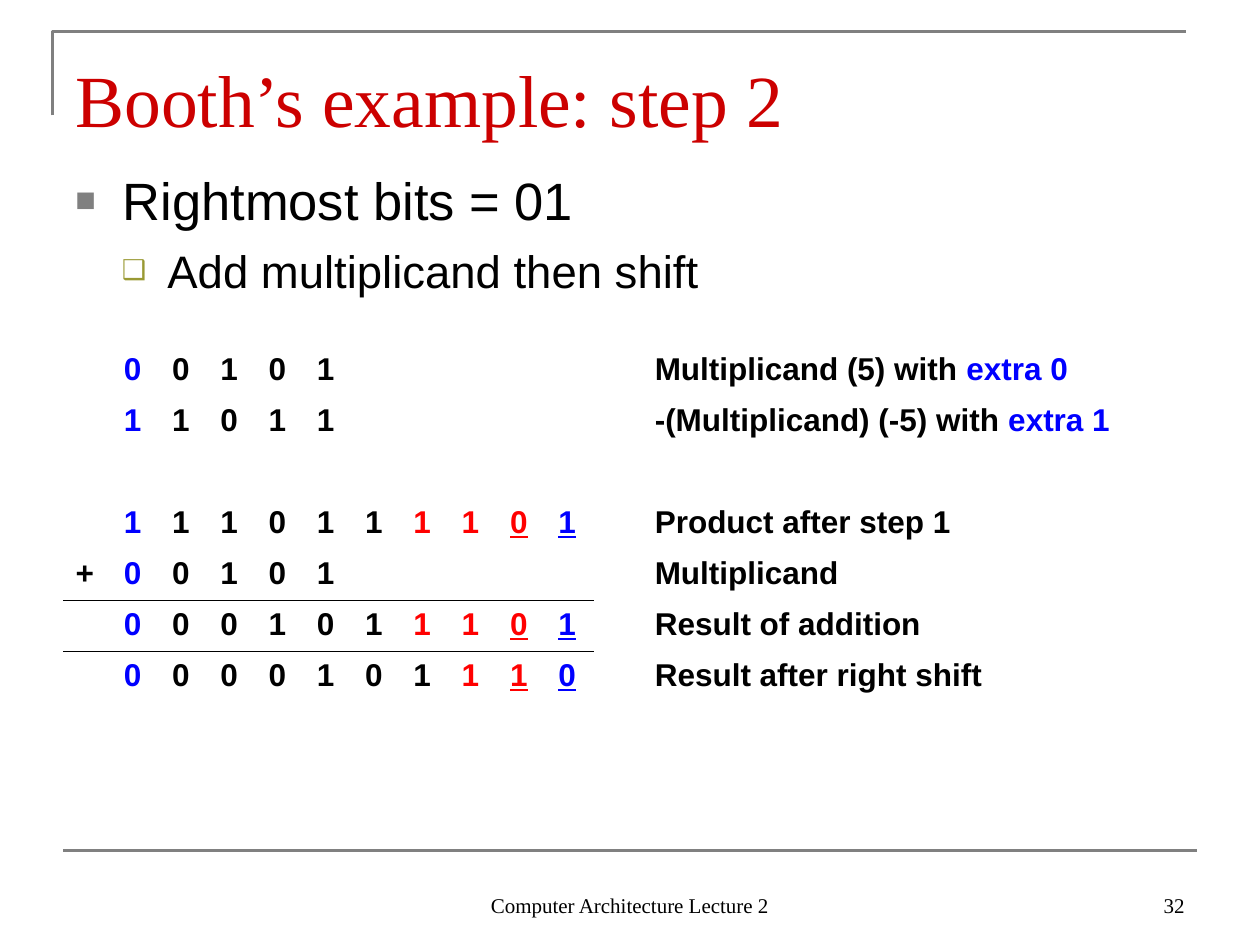
from dataclasses import dataclass

import pptx
import pptx.dml.color
import pptx.enum.shapes
import pptx.enum.text
import pptx.oxml
import pptx.oxml.ns
import pptx.util

Pt = pptx.util.Pt
ALIGN = pptx.enum.text.PP_ALIGN
ANCHOR = pptx.enum.text.MSO_ANCHOR
NS = pptx.oxml.ns.nsdecls("a")
NO_STYLE = "{2D5ABB26-0587-4C30-8999-92F81FD0307C}"


@dataclass(frozen=True)
class Theme:
    serif: str = "Times New Roman"
    sans: str = "Arial"
    title: str = "CC0000"
    text: str = "000000"
    extra: str = "0000FF"
    multiplier: str = "FF0000"
    rule: str = "808080"
    sub_bullet: str = "999933"
    title_size: float = 42
    body_size: float = 30
    sub_size: float = 26
    table_size: float = 18
    footer_size: float = 12
    rule_width: float = 1.5
    sum_width: float = 0.45


@dataclass(frozen=True)
class Box:
    left: float
    top: float
    width: float
    height: float
    inset_top: float = 3.6


@dataclass(frozen=True)
class Bullet:
    text: str
    char: str
    color: str
    percent: int
    size: float
    margin: float
    hanging: float
    before: float


@dataclass(frozen=True)
class BitRow:
    bits: str = ""
    label: str = ""
    extra: str = ""
    red_bits: int = 0
    sign: str = ""


THEME = Theme()
PRODUCT_BITS = 10
LABEL_COL = 12
BIT_WIDTH, LABEL_WIDTH, ROW_HEIGHT = 27.6, 289.4, 29.2

BULLETS = [
    Bullet("Rightmost bits = 01", "■", THEME.rule, 65, THEME.body_size, 27, 27, 0),
    Bullet("Add multiplicand then shift", "❑", THEME.sub_bullet, 60,
           THEME.sub_size, 52.6, 26, 6.5),
]
ROWS = [
    BitRow("00101", "Multiplicand (5) with ", "extra 0"),
    BitRow("11011", "-(Multiplicand) (-5) with ", "extra 1"),
    BitRow(),
    BitRow("1110111101", "Product after step 1", red_bits=3),
    BitRow("00101", "Multiplicand", sign="+"),
    BitRow("0001011101", "Result of addition", red_bits=3),
    BitRow("0000101110", "Result after right shift", red_bits=2),
]


def rgb(color: str) -> pptx.dml.color.RGBColor:
    return pptx.dml.color.RGBColor.from_string(color)


def style(font, name: str, size: float, color: str) -> None:
    font.name = name
    font.size = Pt(size)
    font.color.rgb = rgb(color)


def add_box(s, box: Box, anchor=ANCHOR.TOP):
    sp = s.shapes.add_textbox(Pt(box.left), Pt(box.top), Pt(box.width), Pt(box.height))
    tf = sp.text_frame
    tf.word_wrap = True
    tf.vertical_anchor = anchor
    tf.margin_top = Pt(box.inset_top)
    return tf


def add_line_text(s, box: Box, text: str, size: float, color: str,
                  align=ALIGN.LEFT, anchor=ANCHOR.TOP) -> None:
    p = add_box(s, box, anchor).paragraphs[0]
    p.text = text
    p.alignment = align
    style(p.runs[0].font, THEME.serif, size, color)


def add_bullets(s, box: Box, bullets: list[Bullet]) -> None:
    tf = add_box(s, box)
    for i, b in enumerate(bullets):
        p = tf.paragraphs[0] if i == 0 else tf.add_paragraph()
        p.text = b.text
        p.level = i
        pPr = p._p.get_or_add_pPr()
        pPr.set("marL", str(Pt(b.margin)))
        pPr.set("indent", str(-Pt(b.hanging)))
        for xml in (
            f'<a:buClr {NS}><a:srgbClr val="{b.color}"/></a:buClr>',
            f'<a:buSzPct {NS} val="{b.percent * 1000}"/>',
            f'<a:buFont {NS} typeface="{THEME.sans}"/>',
            f'<a:buChar {NS} char="{b.char}"/>',
        ):
            pPr.append(pptx.oxml.parse_xml(xml))
        p.space_before = Pt(b.before)
        style(p.runs[0].font, THEME.sans, b.size, THEME.text)


def add_rules(s) -> None:
    fb = s.shapes.build_freeform(Pt(30), Pt(66))
    fb.add_line_segments([(Pt(30), Pt(18)), (Pt(678), Pt(18))], close=False)
    corner = fb.convert_to_shape()
    corner.shadow.inherit = False
    corner.fill.background()
    footer = s.shapes.add_connector(pptx.enum.shapes.MSO_CONNECTOR.STRAIGHT,
                                    Pt(36), Pt(486), Pt(684), Pt(486))
    footer._element.spPr.append(pptx.oxml.parse_xml(f"<a:effectLst {NS}/>"))
    for sp in (corner, footer):
        sp.line.color.rgb = rgb(THEME.rule)
        sp.line.width = Pt(THEME.rule_width)


def write(cell, text: str, color: str = THEME.text, underline: bool = False) -> None:
    r = cell.text_frame.paragraphs[0].add_run()
    r.text = text
    style(r.font, THEME.sans, THEME.table_size, color)
    r.font.bold = True
    if underline:
        r.font.underline = True


def add_border(cell, side: str) -> None:
    cell._tc.get_or_add_tcPr().insert(0, pptx.oxml.parse_xml(
        f'<a:{side} {NS} w="{Pt(THEME.sum_width)}"><a:solidFill>'
        f'<a:srgbClr val="{THEME.text}"/></a:solidFill></a:{side}>'))


def bit_color(row: BitRow, i: int) -> str:
    last = PRODUCT_BITS - 1
    if i in (0, last):
        return THEME.extra
    return THEME.multiplier if i >= last - row.red_bits else THEME.text


def add_bit_table(s, left: float, top: float, rows: list[BitRow]) -> None:
    width = LABEL_COL * BIT_WIDTH + LABEL_WIDTH
    table = s.shapes.add_table(len(rows), LABEL_COL + 1, Pt(left), Pt(top),
                               Pt(width), Pt(ROW_HEIGHT * len(rows))).table
    table.first_row = table.horz_banding = False
    table._tbl.tblPr.find(pptx.oxml.ns.qn("a:tableStyleId")).text = NO_STYLE
    for i, col in enumerate(table.columns):
        col.width = Pt(LABEL_WIDTH if i == LABEL_COL else BIT_WIDTH)
    for cell in table.iter_cells():
        cell.fill.background()
    for y, row in enumerate(rows):
        table.rows[y].height = Pt(ROW_HEIGHT)
        if row.sign:
            write(table.cell(y, 0), row.sign)
            for x in range(PRODUCT_BITS + 1):
                add_border(table.cell(y, x), "lnB")
                add_border(table.cell(y + 1, x), "lnT")
        for i, bit in enumerate(row.bits):
            write(table.cell(y, i + 1), bit, bit_color(row, i), i >= PRODUCT_BITS - 2)
        if row.label:
            write(table.cell(y, LABEL_COL), row.label)
        if row.extra:
            write(table.cell(y, LABEL_COL), row.extra, THEME.extra)


def main() -> None:
    prs = pptx.Presentation()
    prs.slide_width, prs.slide_height = Pt(720), Pt(540)
    s = prs.slides.add_slide(prs.slide_layouts[6])
    add_rules(s)
    add_line_text(s, Box(36, 21.6, 648, 56.2, 9), "Booth’s example: step 2",
                  THEME.title_size, THEME.title)
    add_bullets(s, Box(36, 90, 648, 84, 6.3), BULLETS)
    add_line_text(s, Box(246, 492, 228, 36), "Computer Architecture Lecture 2",
                  THEME.footer_size, THEME.text, ALIGN.CENTER, ANCHOR.BOTTOM)
    add_line_text(s, Box(516, 492, 168, 36), "32",
                  THEME.footer_size, THEME.text, ALIGN.RIGHT, ANCHOR.BOTTOM)
    add_bit_table(s, 36, 197.3, ROWS)
    prs.save("out.pptx")


if __name__ == "__main__":
    main()
